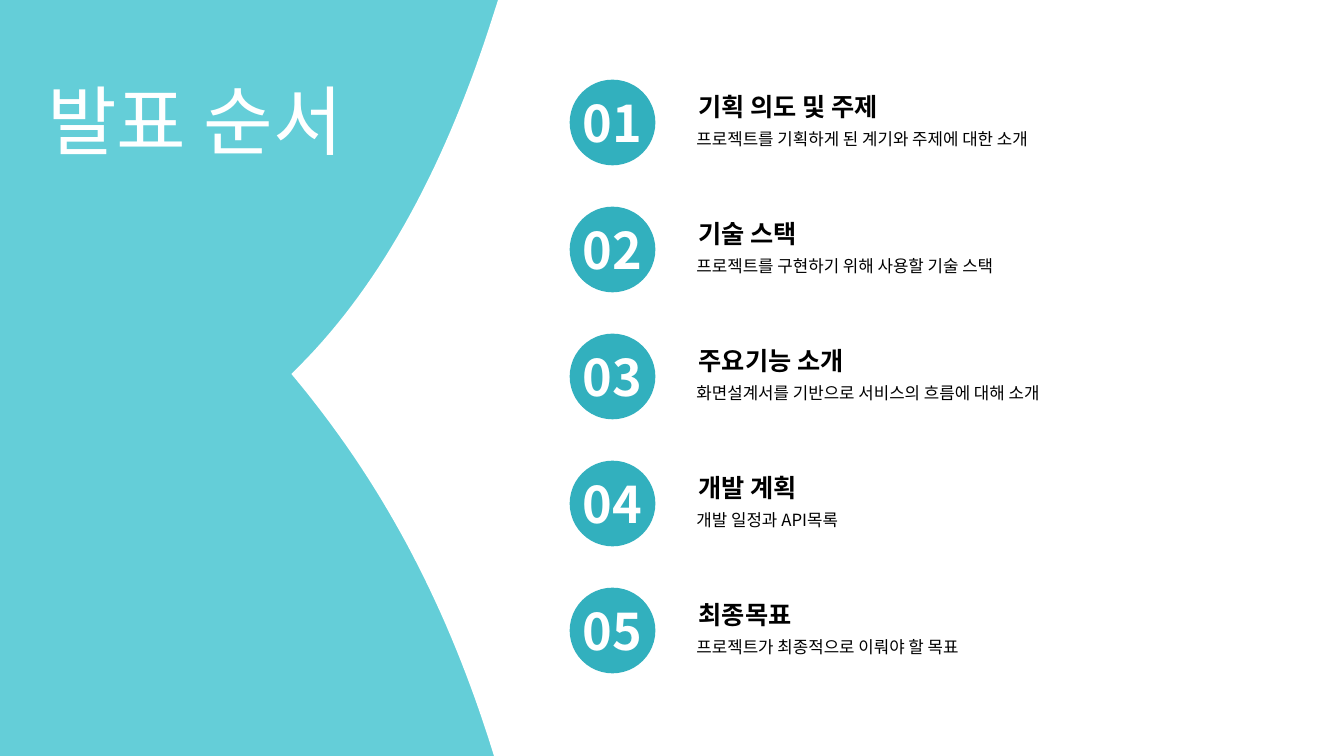
from lxml.etree import SubElement
from pptx import Presentation
from pptx.dml.color import RGBColor
from pptx.enum.shapes import MSO_SHAPE
from pptx.enum.text import MSO_ANCHOR, MSO_AUTO_SIZE, PP_ALIGN
from pptx.oxml.ns import qn
from pptx.util import Inches, Pt

AQUA = RGBColor(0x64, 0xCE, 0xD8)
TEAL = RGBColor(0x32, 0xB0, 0xBE)
WHITE = RGBColor(0xFF, 0xFF, 0xFF)
BLACK = RGBColor(0, 0, 0)
FONT = "Noto Sans CJK KR"
WIDTH, HEIGHT = 13.33, 7.5
TOP, PITCH, DISC = 0.79, 1.26, 0.85
AGENDA = [
    ("기획 의도 및 주제", "프로젝트를 기획하게 된 계기와 주제에 대한 소개"),
    ("기술 스택", "프로젝트를 구현하기 위해 사용할 기술 스택"),
    ("주요기능 소개", "화면설계서를 기반으로 서비스의 흐름에 대해 소개"),
    ("개발 계획", "개발 일정과 API목록"),
    ("최종목표", "프로젝트가 최종적으로 이뤄야 할 목표"),
]
LOWER = [(4.84, 7.31), (4.39, 5.92), (3.77, 4.76), (2.89, 3.71)]
UPPER = [(2.89, 3.71), (3.74, 2.89), (4.38, 1.72), (4.85, 0.28)]


def write(frame, text, size, color, bold=False, align=PP_ALIGN.LEFT):
    """Fill a text frame with one styled paragraph."""
    frame.text = text
    para = frame.paragraphs[0]
    para.alignment = align
    font = para.font
    font.size, font.bold, font.name = Pt(size), bold, FONT
    font.color.rgb = color
    props = para._p.pPr.find(qn("a:defRPr"))
    SubElement(props, qn("a:ea")).set("typeface", FONT)


def paint(shape, color):
    """Give a shape a flat fill with no line or shadow."""
    shape.shadow.inherit = False
    shape.fill.solid()
    shape.fill.fore_color.rgb = color
    shape.line.fill.background()


def curve(points, steps=32):
    """Return points along a cubic Bezier curve."""
    result = []
    for step in range(steps + 1):
        t = step / steps
        u = 1 - t
        weights = (u ** 3, 3 * u * u * t, 3 * u * t * t, t ** 3)
        result.append(tuple(
            sum(w * p[axis] for w, p in zip(weights, points))
            for axis in (0, 1)))
    return result


def panel(slide):
    """Draw the white panel with its pointed left edge."""
    edge = [(WIDTH, 0), (WIDTH, HEIGHT), (4.9, HEIGHT)]
    edge += curve(LOWER) + curve(UPPER)[1:]
    build = slide.shapes.build_freeform(Inches(4.94), 0)
    build.add_line_segments([(Inches(x), Inches(y)) for x, y in edge])
    paint(build.convert_to_shape(), WHITE)


def disc(slide, top, number):
    """Draw a numbered circle."""
    shape = slide.shapes.add_shape(
        MSO_SHAPE.OVAL, Inches(5.65), Inches(top), Inches(DISC), Inches(DISC))
    paint(shape, TEAL)
    frame = shape.text_frame
    frame.margin_left = frame.margin_right = 0
    frame.margin_top = frame.margin_bottom = 0
    frame.vertical_anchor = MSO_ANCHOR.MIDDLE
    frame.word_wrap = False
    write(frame, number, 36, WHITE, True, PP_ALIGN.CENTER)


def label(slide, top, height, inset, text, size, bold=False):
    """Add a line of agenda text."""
    box = slide.shapes.add_textbox(
        Inches(6.81), Inches(top), Inches(5.6), Inches(height))
    frame = box.text_frame
    frame.word_wrap = True
    frame.margin_left = frame.margin_right = Inches(inset)
    write(frame, text, size, BLACK, bold)


def heading(slide, text):
    """Place and style the slide title."""
    title = slide.shapes.title
    title.left, title.top = Inches(0.37), Inches(0.68)
    title.width, title.height = Inches(3.82), Inches(1.01)
    frame = title.text_frame
    frame.auto_size = MSO_AUTO_SIZE.NONE
    frame.vertical_anchor = MSO_ANCHOR.MIDDLE
    write(frame, text, 54, WHITE)


def main():
    """Build the agenda slide."""
    deck = Presentation()
    deck.slide_width, deck.slide_height = Inches(WIDTH), Inches(HEIGHT)
    slide = deck.slides.add_slide(deck.slide_layouts[5])
    slide.background.fill.solid()
    slide.background.fill.fore_color.rgb = AQUA
    panel(slide)
    heading(slide, "발표 순서")
    for index, (topic, detail) in enumerate(AGENDA):
        top = TOP + index * PITCH
        disc(slide, top, f"{index + 1:02}")
        label(slide, top + 0.07, 0.4, 0.12, topic, 18, True)
        label(slide, top + 0.44, 0.3, 0.1, detail, 12)
    deck.save("out.pptx")


if __name__ == "__main__":
    main()
